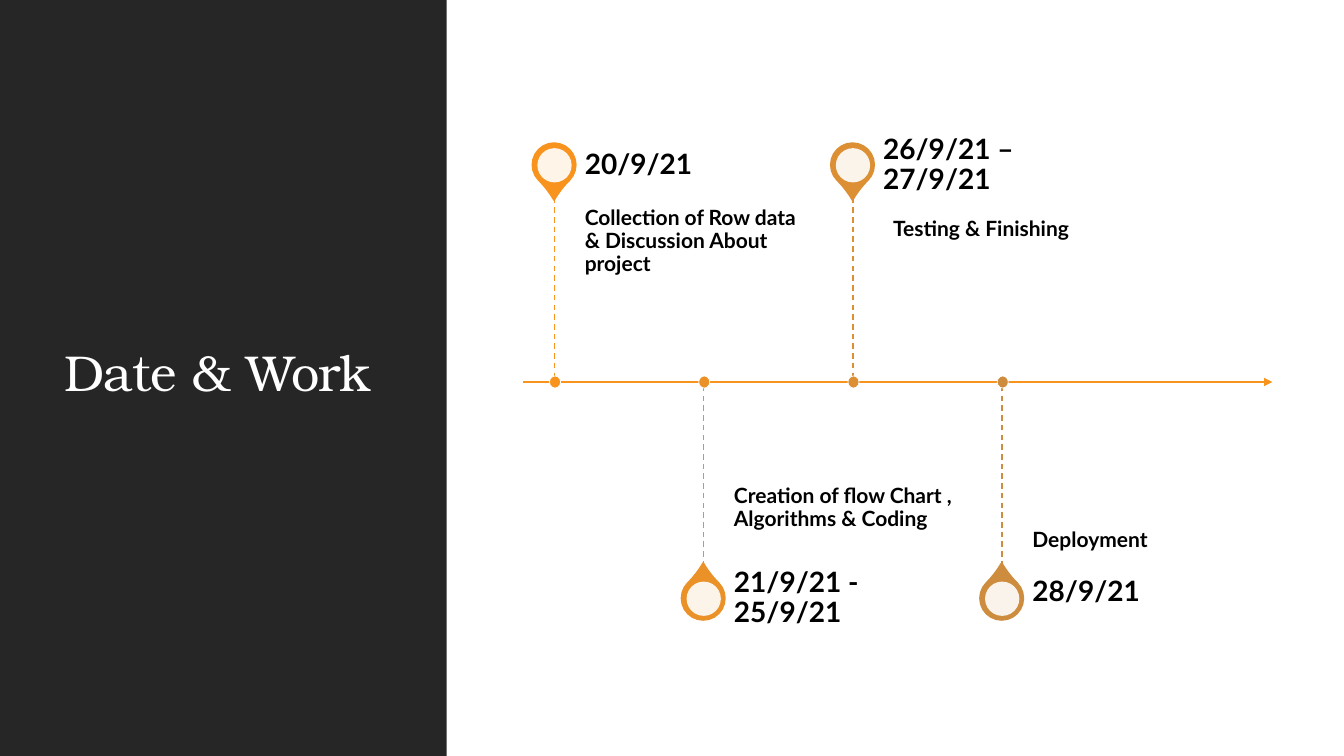
from lxml.etree import SubElement
from pptx import Presentation
from pptx.dml.color import RGBColor
from pptx.enum.dml import MSO_LINE
from pptx.enum.shapes import MSO_CONNECTOR, MSO_SHAPE
from pptx.enum.text import MSO_ANCHOR
from pptx.oxml.ns import qn
from pptx.util import Inches, Pt

COLORS = {
    "panel": "262626", "white": "FFFFFF", "black": "000000",
    "pin1": "F8931D", "pin2": "EA9128", "pin3": "DC8F33", "pin4": "CE8D3E",
}
TITLE = {"name": "TeX Gyre Bonum", "size": Pt(36), "bold": False}
DATE = {"name": "Lato", "size": Pt(20), "bold": True}
WORK = {"name": "Lato", "size": Pt(15), "bold": True}

AXIS = 3.79
FIRST, STEP = 5.5, 1.48
WIDE = 2.37
# Date, work, work box top, work insets, date box top
STEPS = [
    ("20/9/21", "Collection of Row data & Discussion About project",
     1.96, (0, 0.1, 0.1, 0.16), 1.32),
    ("21/9/21 - 25/9/21", "Creation of flow Chart , Algorithms & Coding",
     3.79, (0, 0.16, 0, 0.41), 5.62),
    ("26/9/21 – 27/9/21", "Testing & Finishing",
     2.08, (0.1, 0.1, 0.1, 0.16), 1.32),
    ("28/9/21", "Deployment",
     3.73, (0, 0.16, 0, 0.1), 5.56),
]


class Deck:
    def __init__(self):
        self.prs = Presentation()
        self.prs.slide_width = Inches(13.33)
        self.prs.slide_height = Inches(7.5)
        self.slide = self.prs.slides.add_slide(self.prs.slide_layouts[6])

    def color(self, key):
        return RGBColor.from_string(COLORS[key])

    def shape(self, kind, box, fill, line=None, width=1.0, alpha=None):
        item = self.slide.shapes.add_shape(kind, *map(Inches, box))
        item.shadow.inherit = False
        item.fill.solid()
        item.fill.fore_color.rgb = self.color(fill)
        if line:
            item.line.color.rgb = self.color(line)
            item.line.width = Pt(width)
        else:
            item.line.fill.background()
        if alpha:
            tint = item._element.spPr.find(qn("a:solidFill"))[0]
            SubElement(tint, qn("a:alpha"), val=str(alpha * 1000))
        return item

    def text(self, words, box, style, color="black", inset=(0, 0, 0.14, 0),
             anchor=MSO_ANCHOR.MIDDLE, kern=None):
        item = self.slide.shapes.add_textbox(*map(Inches, box))
        frame = item.text_frame
        frame.word_wrap = True
        frame.vertical_anchor = anchor
        for side, gap in zip(("left", "top", "right", "bottom"), inset):
            setattr(frame, "margin_" + side, Inches(gap))
        para = frame.paragraphs[0]
        para.line_spacing = 0.9
        run = para.add_run()
        run.text = words
        for key, value in style.items():
            setattr(run.font, key, value)
        run.font.color.rgb = self.color(color)
        if kern:
            run._r.get_or_add_rPr().set("spc", str(kern))

    def line(self, start, end, color, width, dash=None, arrow=False):
        item = self.slide.shapes.add_connector(
            MSO_CONNECTOR.STRAIGHT, *map(Inches, start + end))
        item.line.color.rgb = self.color(color)
        item.line.width = Pt(width)
        if dash:
            item.line.dash_style = dash
        if arrow:
            SubElement(item.line._get_or_add_ln(), qn("a:tailEnd"), type="triangle")
        SubElement(item._element.spPr, qn("a:effectLst"))

    def pin(self, x, y, color, turn):
        drop = self.shape(MSO_SHAPE.TEAR, (x - 0.22, y - 0.22, 0.43, 0.43),
                          color, color, 1.25)
        drop.adjustments[0] = 1.15
        drop.rotation = turn
        self.shape(MSO_SHAPE.OVAL, (x - 0.17, y - 0.17, 0.34, 0.34),
                   "white", alpha=90)


def main():
    deck = Deck()

    # Title panel
    deck.shape(MSO_SHAPE.RECTANGLE, (0, 0, 4.43, 7.5), "panel")
    deck.text("Date & Work", (0.54, 0.57, 3.37, 6.31), TITLE, "white",
              (0.1, 0.05, 0.1, 0.05), kern=-50)

    # Time axis
    deck.line((5.19, AXIS), (12.62, AXIS), "pin1", 1.5, arrow=True)

    # Steps, in turn above and below the axis
    for i, (date, work, top, inset, head) in enumerate(STEPS):
        x = FIRST + i * STEP
        color = f"pin{i + 1}"
        above = i % 2 == 0
        deck.pin(x, 1.64 if above else 5.94, color, 135 if above else 315)
        deck.text(work, (x + 0.3, top, WIDE, 1.83), WORK, inset=inset,
                  anchor=MSO_ANCHOR.TOP if above else MSO_ANCHOR.BOTTOM)
        deck.text(date, (x + 0.3, head, WIDE, 0.64), DATE)
        deck.line((x, 1.96 if above else 5.62), (x, AXIS), color, 1, MSO_LINE.DASH)
        deck.shape(MSO_SHAPE.OVAL, (x - 0.05, AXIS - 0.06, 0.11, 0.12),
                   color, "white", 0.5)

    deck.prs.save("out.pptx")


if __name__ == "__main__":
    main()
